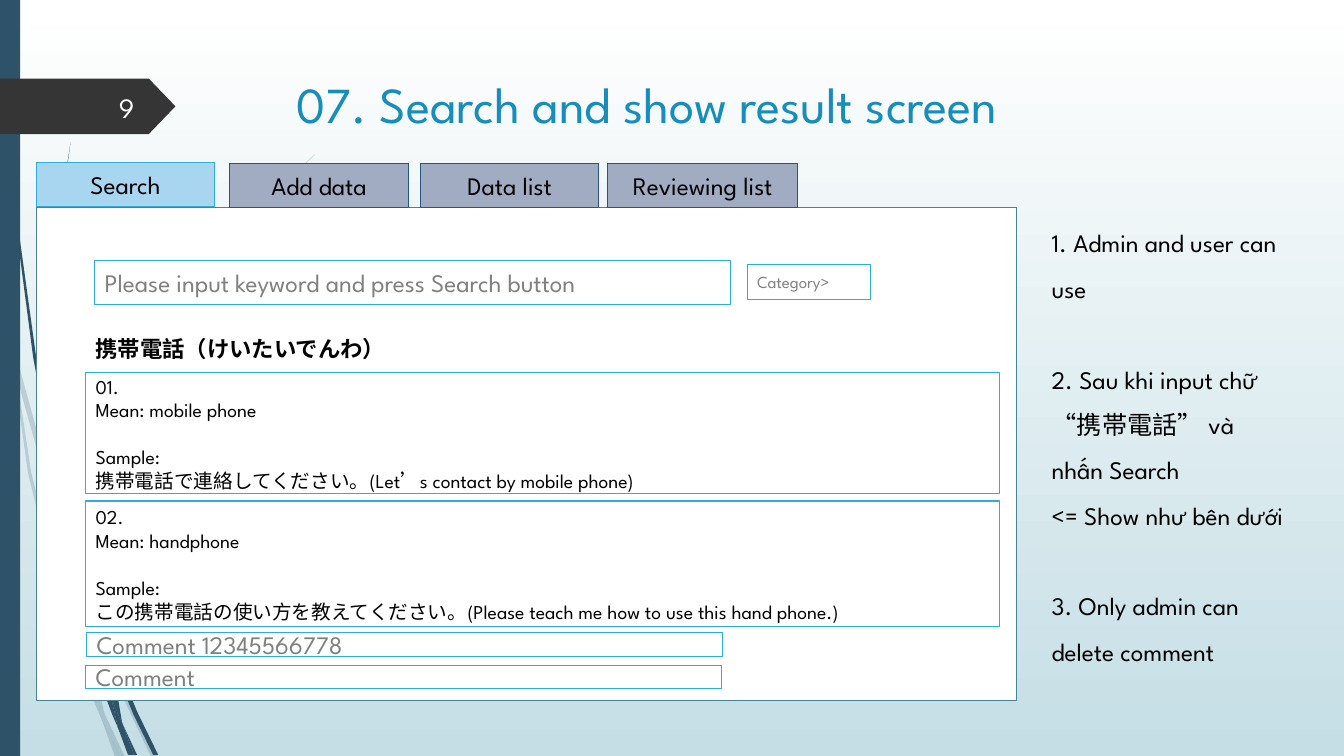
from lxml.etree import SubElement
from pptx import Presentation
from pptx.dml.color import RGBColor
from pptx.enum.shapes import MSO_SHAPE
from pptx.enum.text import MSO_ANCHOR, MSO_AUTO_SIZE, PP_ALIGN
from pptx.oxml.ns import qn
from pptx.util import Inches, Pt

COLORS = {
    "navy": "2E5369", "tag": "353535", "white": "FFFFFF", "sky": "C5DEE5",
    "panel": "498392", "title": "178DBB", "border": "2FACDC", "hint": "808080",
    "text": "000000", "active": "A8D5F0", "tab": "A1ABC1", "tab_line": "24558B",
    "number": "FEFFFF",
}
FONT = "League Spartan"
CELL = Inches(0.1)

PALE_WISPS = [
    [(11, 350), (9, 322), (0, 282), (0, 299), (10, 344)],
    [(58, 522), (84, 599), (85, 586), (62, 520), (14, 345), (17, 376)],
    [(92, 607), (88, 596), (88, 610), (123, 694), (150, 751), (155, 751), (127, 692)],
    [(119, 751), (124, 751), (105, 711)],
    [(93, 683), (70, 619), (31, 469), (17, 376), (11, 350), (28, 470), (65, 621),
     (92, 693), (101, 714), (99, 707)],
    [(84, 599), (87, 646), (93, 683), (96, 692), (105, 711), (103, 706), (91, 646),
     (88, 610), (88, 608)],
    [(88, 584), (110, 462), (160, 349), (229, 245), (268, 198), (290, 175), (312, 154),
     (312, 153), (289, 175), (268, 197), (228, 244), (158, 348), (107, 461), (85, 584),
     (85, 586), (88, 596)],
    [(101, 714), (114, 751), (119, 751)],
    [(96, 692), (93, 683), (99, 707), (101, 714), (119, 751), (105, 711)],
]
DARK_WISPS = [
    [(7, 110), (17, 233), (33, 355), (56, 477), (57, 481), (55, 457), (55, 453),
     (36, 355), (19, 232), (8, 109), (5, 48), (4, 0), (3, 0), (4, 48)],
    [(113, 649), (110, 641), (111, 656), (132, 708), (152, 749), (157, 749), (136, 706)],
    [(110, 691), (98, 657), (72, 556), (64, 505), (57, 477), (68, 557), (93, 659),
     (111, 708), (117, 722), (116, 717)],
    [(60, 472), (58, 453), (54, 349), (58, 245), (63, 193), (70, 141), (62, 193),
     (56, 245), (52, 349), (55, 449)],
    [(133, 749), (136, 749), (122, 719)],
    [(117, 722), (127, 749), (131, 749)],
    [(106, 645), (110, 691), (116, 706), (122, 719), (121, 716), (111, 656), (109, 651)],
    [(116, 706), (110, 691), (116, 717), (117, 722), (130, 749), (133, 749), (122, 719)],
]
TABS = [
    ("Search", 3.6, 16.1, 17.7, "active", "border"),
    ("Add data", 22.8, 16.2, 17.7, "tab", "tab_line"),
    ("Data list", 41.7, 16.2, 17.7, "tab", "tab_line"),
    ("Reviewing list", 60.3, 16.2, 18.8, "tab", "tab_line"),
]
FIELDS = [
    ("Please input keyword and press Search button", (9.4, 25.8, 63.1, 4.4), 18),
    ("Category>", (74.1, 26.2, 12.2, 3.5), 12),
    ("Comment 12345566778", (8.6, 62.8, 63.1, 2.3), 18),
    ("Comment", (8.5, 66, 63.1, 2.3), 18),
]
RESULTS = [
    (37, 12, ["01.", "Mean: mobile phone", "Sample:",
              "携帯電話で連絡してください。(Let’s contact by mobile phone)"]),
    (49.7, 12.5, ["02.", "Mean: handphone", "Sample:",
                  "この携帯電話の使い方を教えてください。"
                  "(Please teach me how to use this hand phone.)"]),
]
NOTES = [
    "1. Admin and user can use",
    "2. Sau khi input chữ “携帯電話” và nhấn Search",
    "<= Show như bên dưới",
    "3. Only admin can delete comment",
]


def rgb(name):
    return RGBColor.from_string(COLORS[name])


class SlideBuilder:
    def __init__(self, prs):
        self.s = prs.slides.add_slide(prs.slide_layouts[1])

    def background(self, top, bottom):
        fill = self.s.background.fill
        fill.gradient()
        fill.gradient_angle = 270
        for stop, name in zip(fill.gradient_stops, (top, bottom)):
            stop.color.rgb = rgb(name)

    def place(self, sp, box):
        sp.left, sp.top, sp.width, sp.height = (round(v * CELL) for v in box)

    def paint(self, sp, fill=None, line=None, width=0.75):
        sp.shadow.inherit = False
        if fill:
            sp.fill.solid()
            sp.fill.fore_color.rgb = rgb(fill)
        else:
            sp.fill.background()
        if line:
            sp.line.color.rgb = rgb(line)
            sp.line.width = Pt(width)
        else:
            sp.line.fill.background()

    def wisp(self, points, alpha=None):
        builder = self.s.shapes.build_freeform(*points[0], scale=Inches(0.01))
        builder.add_line_segments(points[1:], close=True)
        sp = builder.convert_to_shape()
        self.paint(sp, "navy")
        if alpha:
            color = sp._element.spPr.find(qn("a:solidFill"))[0]
            SubElement(color, qn("a:alpha")).set("val", str(alpha * 1000))

    def shape(self, box, fill=None, line=None, width=0.75, kind=MSO_SHAPE.RECTANGLE):
        sp = self.s.shapes.add_shape(kind, *(round(v * CELL) for v in box))
        self.paint(sp, fill, line, width)
        return sp

    def add_text(self, sp, lines, size, color="text", align=PP_ALIGN.LEFT,
                 anchor=MSO_ANCHOR.MIDDLE, bold=False, spacing=None, gaps=(), gap=0):
        tf = sp.text_frame
        tf.word_wrap = True
        tf.auto_size = MSO_AUTO_SIZE.NONE
        tf.vertical_anchor = anchor
        for i, line in enumerate(lines):
            p = tf.add_paragraph() if i else tf.paragraphs[0]
            p.alignment = align
            p.space_before = Pt(gap if i in gaps else 0)
            if spacing:
                p.line_spacing = spacing
            if sp.is_placeholder:
                pPr = p._p.get_or_add_pPr()
                pPr.set("marL", "0")
                pPr.set("indent", "0")
                SubElement(pPr, qn("a:buNone"))
            r = p.add_run()
            r.text = line
            r.font.name = FONT
            r.font.size = Pt(size)
            r.font.bold = bold
            r.font.color.rgb = rgb(color)

    def textbox(self, box, text, size, **style):
        sp = self.s.shapes.add_textbox(*(round(v * CELL) for v in box))
        self.add_text(sp, [text], size, **style)

    def placeholder(self, index, box, lines, size, **style):
        sp = self.s.placeholders[index]
        self.place(sp, box)
        self.add_text(sp, lines, size, anchor=MSO_ANCHOR.TOP, **style)


def main():
    prs = Presentation()
    prs.slide_width, prs.slide_height = Inches(13.33), Inches(7.5)
    b = SlideBuilder(prs)
    b.background("white", "sky")
    for points in PALE_WISPS:
        b.wisp(points, alpha=20)
    for points in DARK_WISPS:
        b.wisp(points)
    b.shape((0, 0, 2, 75), "navy")
    tag = b.shape((0, 7.8, 17.4, 5.5), "tag", kind=MSO_SHAPE.PENTAGON)
    tag.adjustments[0] = 0.48
    b.textbox((5.8, 8.6, 8.5, 4), "9", 20, color="number", align=PP_ALIGN.RIGHT)
    b.placeholder(0, (28.4, 6.8, 97.5, 14), ["07. Search and show result screen"], 36,
                  color="title")
    b.shape((3.6, 20.6, 97.2, 48.9), "white", "panel", 0.5)
    for label, left, top, width, fill, line in TABS:
        b.add_text(b.shape((left, top, width, 4.4), fill, line), [label], 18,
                   align=PP_ALIGN.CENTER)
    for hint, box, size in FIELDS:
        b.add_text(b.shape(box, line="border"), [hint], size, color="hint")
    b.textbox((8.5, 32.6, 73.1, 4), "携帯電話（けいたいでんわ）", 16, bold=True)
    for top, height, lines in RESULTS:
        b.add_text(b.shape((8.5, top, 90.6, height), line="border"), lines, 14,
                   gaps=(2,), gap=17)
    b.placeholder(1, (103.3, 20.6, 25.2, 51), NOTES, 18, spacing=1.5,
                  gaps=(1, 3), gap=32.4)
    prs.save("out.pptx")


if __name__ == "__main__":
    main()
